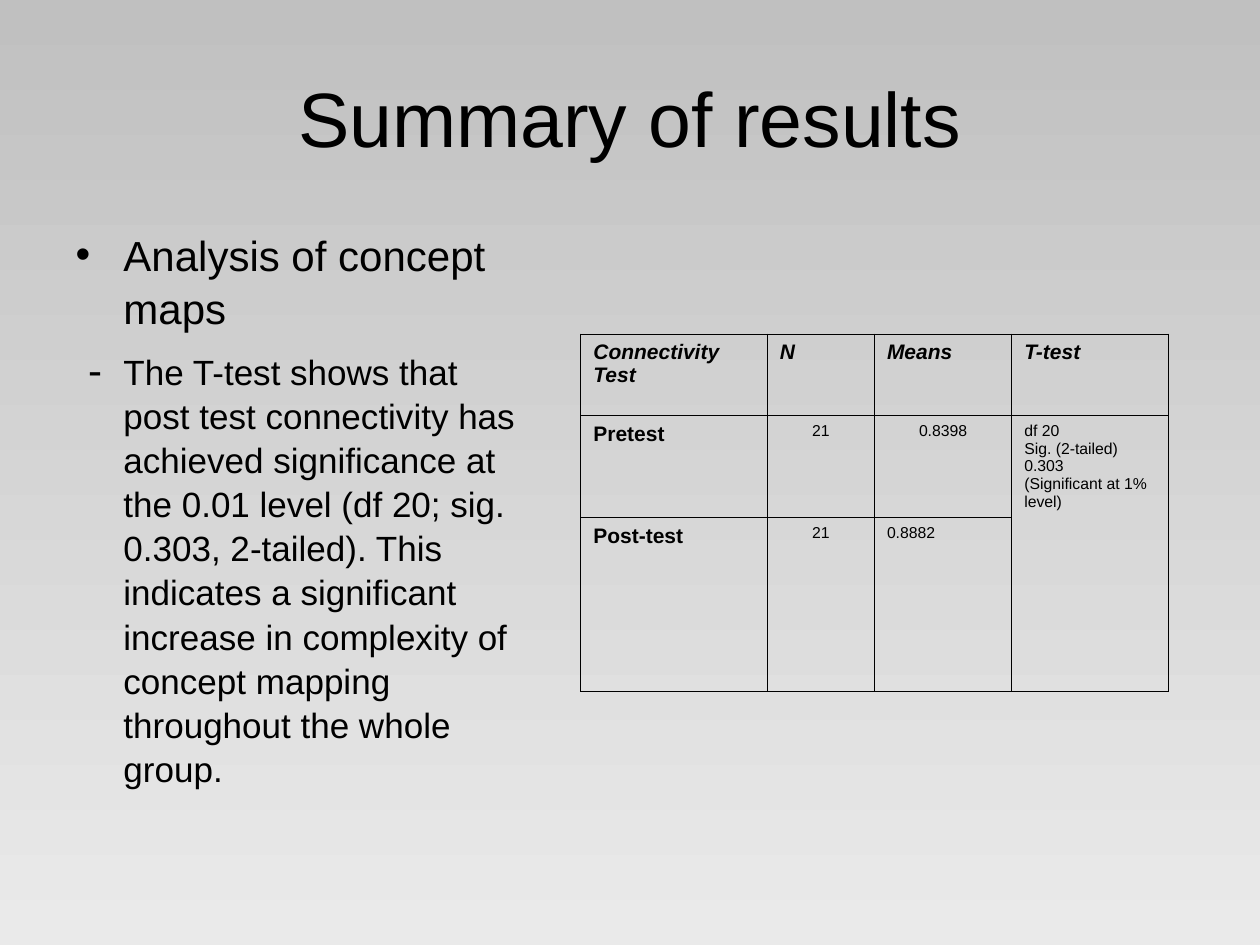
from lxml import etree
from pptx import Presentation
from pptx import util as u
from pptx.dml.color import RGBColor
from pptx.enum import text as t
from pptx.oxml import ns

BLACK = RGBColor(0x00, 0x00, 0x00)
TOP_GREY = RGBColor(0xC0, 0xC0, 0xC0)
BOTTOM_GREY = RGBColor(0xEA, 0xEA, 0xEA)
FONT = "Arial"
LEFT, CENTER = t.PP_ALIGN.LEFT, t.PP_ALIGN.CENTER

COLUMN_WIDTHS = [1.48, 0.85, 1.09, 1.24]
ROW_HEIGHTS = [0.65, 0.81, 1.38]
RESULTS = [
    [["Connectivity Test"], ["N"], ["Means"], ["T-test"]],
    [["Pretest"], ["21"], ["0.8398"],
     ["df 20", "Sig. (2-tailed) 0.303", "(Significant at 1% level)"]],
    [["Post-test"], ["21"], ["0.8882"], []],
]
CENTERED_CELLS = {(1, 1), (1, 2), (2, 1)}


def add_run(paragraph, words, size, bold=False, italic=False):
    run = paragraph.add_run()
    run.text = words
    font = run.font
    font.name, font.size = FONT, u.Pt(size)
    font.bold, font.italic = bold, italic
    font.color.rgb = BLACK


def place(placeholder, left, top, width, height):
    placeholder.left, placeholder.top = u.Inches(left), u.Inches(top)
    placeholder.width, placeholder.height = u.Inches(width), u.Inches(height)
    frame = placeholder.text_frame
    frame.word_wrap = True
    frame.auto_size = t.MSO_AUTO_SIZE.NONE
    return frame


def paint_background(slide):
    fill = slide.background.fill
    fill.gradient()
    fill.gradient_angle = 270
    for stop, grey in zip(fill.gradient_stops, (TOP_GREY, BOTTOM_GREY)):
        stop.color.rgb = grey


def add_title(slide, words):
    frame = place(slide.shapes.title, 0.5, 0.3, 9, 1.25)
    frame.vertical_anchor = t.MSO_ANCHOR.MIDDLE
    heading = frame.paragraphs[0]
    heading.alignment = CENTER
    add_run(heading, words, 44)


def add_point(paragraph, words, size, mark, hang, mark_percent=100):
    """Fill a list item whose mark hangs left of the shared text edge."""
    paragraph.line_spacing = 1.05
    props = paragraph._p.get_or_add_pPr()
    props.set("marL", str(u.Inches(0.38)))
    props.set("indent", str(-u.Inches(hang)))
    mark_size = etree.SubElement(props, ns.qn("a:buSzPct"))
    mark_size.set("val", str(mark_percent * 1000))
    etree.SubElement(props, ns.qn("a:buFont")).set("typeface", FONT)
    etree.SubElement(props, ns.qn("a:buChar")).set("char", mark)
    add_run(paragraph, words, size)


def add_findings(slide):
    frame = place(slide.placeholders[1], 0.5, 1.75, 3.79, 4.95)
    analysis = frame.paragraphs[0]
    analysis.space_before = u.Pt(0)
    add_point(analysis, "Analysis of concept maps", 24, "•", 0.38)
    finding = frame.add_paragraph()
    finding.space_before = u.Pt(9)
    add_point(
        finding,
        "The T-test shows that post test connectivity has achieved "
        "significance at the 0.01 level (df 20; sig. 0.303, 2-tailed). "
        "This indicates a significant increase in complexity of concept "
        "mapping throughout the whole group.",
        20, "-", 0.28, mark_percent=120)


def add_borders(cell):
    props = cell._tc.get_or_add_tcPr()
    for side in ("lnL", "lnR", "lnT", "lnB"):
        line = etree.SubElement(props, ns.qn(f"a:{side}"), w=str(u.Pt(0.45)))
        solid = etree.SubElement(line, ns.qn("a:solidFill"))
        etree.SubElement(solid, ns.qn("a:srgbClr"), val=str(BLACK))


def fill_cell(cell, lines, row, column):
    add_borders(cell)
    cell.fill.background()
    is_label = row == 0 or column == 0
    for index, words in enumerate(lines):
        frame = cell.text_frame
        paragraph = frame.add_paragraph() if index else frame.paragraphs[0]
        paragraph.alignment = CENTER if (row, column) in CENTERED_CELLS else LEFT
        add_run(paragraph, words, 12 if is_label else 9,
                bold=is_label, italic=row == 0)


def add_results_table(slide):
    table = slide.shapes.add_table(
        len(ROW_HEIGHTS), len(COLUMN_WIDTHS), u.Inches(4.61), u.Inches(2.65),
        u.Inches(sum(COLUMN_WIDTHS)), u.Inches(sum(ROW_HEIGHTS))).table
    for column, width in zip(table.columns, COLUMN_WIDTHS):
        column.width = u.Inches(width)
    for row, height in zip(table.rows, ROW_HEIGHTS):
        row.height = u.Inches(height)
    # The T-test verdict covers both test rows
    table.cell(1, 3).merge(table.cell(2, 3))
    for row, entries in enumerate(RESULTS):
        for column, lines in enumerate(entries):
            fill_cell(table.cell(row, column), lines, row, column)


def main():
    deck = Presentation()
    deck.slide_width, deck.slide_height = u.Inches(10), u.Inches(7.5)
    slide = deck.slides.add_slide(deck.slide_layouts[1])
    paint_background(slide)
    add_title(slide, "Summary of results")
    add_findings(slide)
    add_results_table(slide)
    deck.save("out.pptx")


if __name__ == "__main__":
    main()
